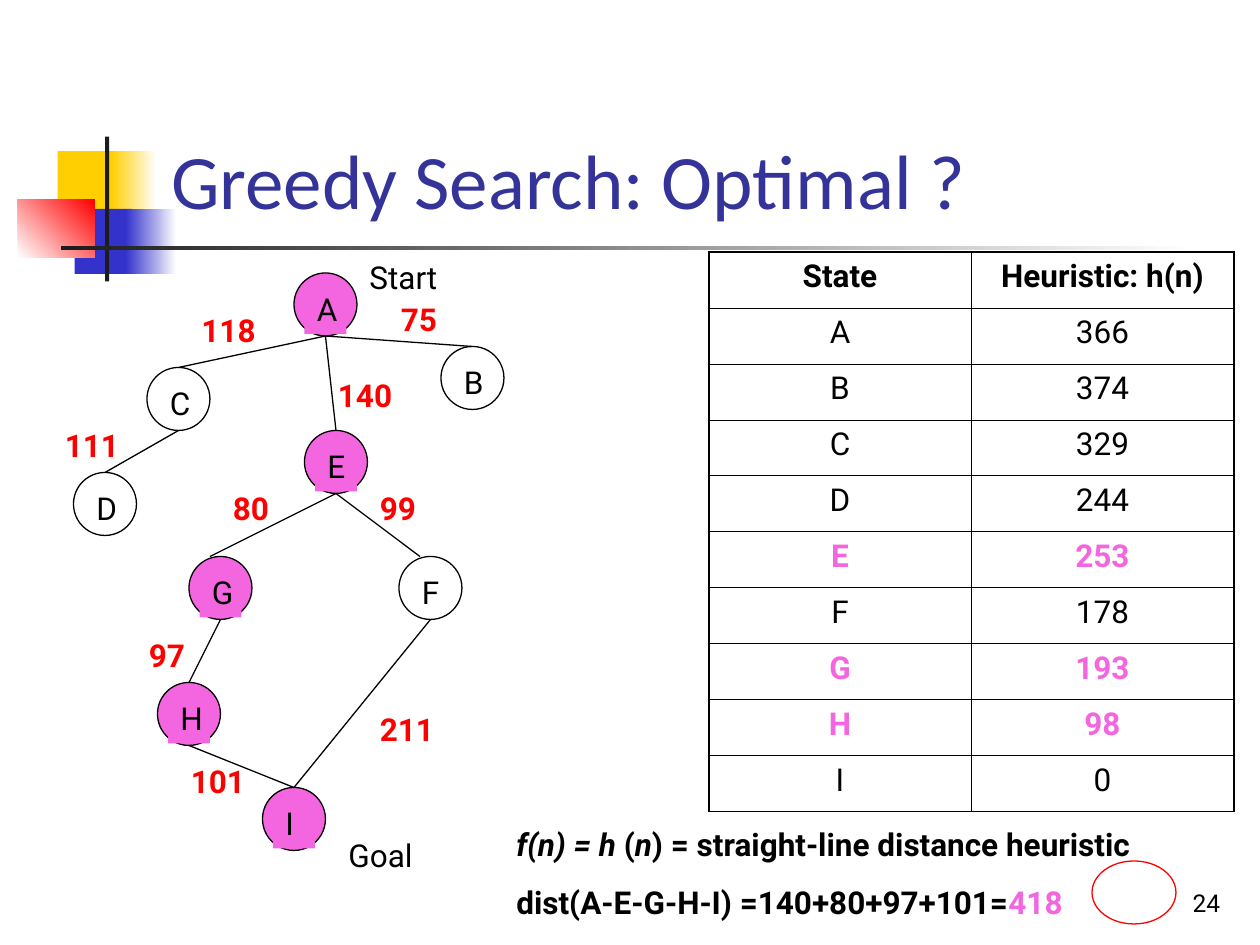
from lxml import etree
from pptx import Presentation
from pptx.dml.color import RGBColor
from pptx.enum.shapes import MSO_CONNECTOR, MSO_SHAPE
from pptx.enum.text import MSO_ANCHOR, MSO_AUTO_SIZE, PP_ALIGN
from pptx.oxml.ns import qn
from pptx.util import Inches, Pt

RECT, OVAL = MSO_SHAPE.RECTANGLE, MSO_SHAPE.OVAL
LINE = MSO_CONNECTOR.STRAIGHT
TOP, BOTTOM = MSO_ANCHOR.TOP, MSO_ANCHOR.BOTTOM
LEFT, CENTER, RIGHT = PP_ALIGN.LEFT, PP_ALIGN.CENTER, PP_ALIGN.RIGHT
GROW, FIXED = MSO_AUTO_SIZE.SHAPE_TO_FIT_TEXT, MSO_AUTO_SIZE.NONE

COLS, ROWS, UNIT = 120, 90, 1 / 12
BLACK, WHITE, RED, PINK = "000000", "FFFFFF", "FF0000", "F466E0"
GOLD, BLUE, DARK, NAVY = "FFCF01", "3333CC", "1C1C1C", "333399"
THIN, THICK, SIZE = 0.45, 1.08, 6

DECOR = [
    (5.5, 14.4, 5.8, 6.2, [GOLD], 0),
    (10.6, 14.4, 4.3, 6.2, [GOLD, WHITE], 0),
    (7.1, 19.9, 5.5, 6.2, [BLUE], 0),
    (12, 19.9, 4.8, 6.2, [BLUE, WHITE], 0),
    (1.7, 19, 7.3, 5.5, [WHITE, RED], 45),
    (10, 13, 0.4, 13.8, [DARK], 0),
    (5.8, 23.4, 108, 0.4, [DARK, WHITE], 0),
]
NODES = {"A": (28, 26), "B": (42, 33), "D": (7, 45), "C": (14, 35),
         "E": (29, 41), "F": (38, 53), "I": (25, 75), "G": (18, 53),
         "H": (15, 65)}
ROUTE = "AEGHI"
EDGES = [("EF", -1), ("FI", 0), ("EG", -1), ("GH", 0), ("HI", 0),
         ("AB", 0), ("AE", 0), ("AC", 0), ("CD", 0)]
COSTS = [("99", 35, 46, 8), ("211", 35, 67, 10), ("80", 21, 46, 8),
         ("97", 13, 60, 8), ("101", 17, 72, 11), ("75", 37, 28, 8),
         ("118", 18, 29, 10), ("111", 5, 40, 10), ("140", 31, 35.2, 10)]
ENDS = [("Start", 34, 24, 16), ("Goal", 32, 79, 16)]
TABLE = [("State", "Heuristic: h(n)"), ("A", "366"), ("B", "374"),
         ("C", "329"), ("D", "244"), ("E", "253"), ("F", "178"),
         ("G", "193"), ("H", "98"), ("I", "0")]
NOTES = [
    [("f(n) = h ", {"italic": True}), ("(", {}), ("n", {"italic": True}),
     (") = straight-line distance heuristic", {})],
    [("dist(A-E-G-H-I) =140+80+97+101=", {}), ("418", {"color": PINK})],
]


def grid(*cells):
    return [Inches(cell * UNIT) for cell in cells]


def paint(target, color):
    target.rgb = RGBColor.from_string(color)


def style(font, size=18, face="Roboto", color=BLACK, bold=False, italic=False):
    font.size, font.name = Pt(size), face
    font.bold, font.italic = bold, italic
    paint(font.color, color)


def write(frame, text, align=LEFT, gap=0, **look):
    paras = [[(text, {})]] if isinstance(text, str) else text
    for index, runs in enumerate(paras):
        para = frame.add_paragraph() if index else frame.paragraphs[0]
        para.alignment = align
        if index:
            para.space_before = Pt(gap)
        for words, extra in runs:
            run = para.add_run()
            run.text = words
            style(run.font, **{**look, **extra})


def label(shapes, text, box, fill=None, anchor=TOP, fit=GROW, **look):
    item = shapes.add_textbox(*grid(*box))
    frame = item.text_frame
    frame.word_wrap, frame.auto_size = True, fit
    frame.vertical_anchor = anchor
    if fill:
        item.fill.solid()
        paint(item.fill.fore_color, fill)
    write(frame, text, **look)


def form(shapes, kind, box, fills=(), angle=0, line=None):
    item = shapes.add_shape(kind, *grid(*box))
    item.shadow.inherit = False
    if len(fills) == 2:
        item.fill.gradient()
        item.fill.gradient_angle = angle
        for stop, color in zip(item.fill.gradient_stops, fills):
            paint(stop.color, color)
    elif fills:
        item.fill.solid()
        paint(item.fill.fore_color, fills[0])
    else:
        item.fill.background()
    if line:
        paint(item.line.color, line)
        item.line.width = Pt(0.75)
    else:
        item.line.fill.background()


def node(shapes, name):
    col, row = NODES[name]
    fill = PINK if name in ROUTE else None
    group = shapes.add_group_shape().shapes
    form(group, OVAL, (col, row, SIZE, SIZE), [fill] if fill else [], line=BLACK)
    label(group, name, (col + 1, row + 1, 4, 4.8), fill)


def edge(shapes, pair, shift):
    (left, top), (right, low) = NODES[pair[0]], NODES[pair[1]]
    half = SIZE / 2
    ends = grid(left + half, top + SIZE, right + half + shift, low)
    link = shapes.add_connector(LINE, *ends)
    paint(link.line.color, BLACK)
    link.line.width = Pt(0.75)
    etree.SubElement(link.element.spPr, qn("a:effectLst"))


def border(cell, **widths):
    props = cell._tc.get_or_add_tcPr()
    for side, width in widths.items():
        line = etree.SubElement(props, qn(f"a:ln{side}"), w=str(Pt(width)))
        fill = etree.SubElement(line, qn("a:solidFill"))
        etree.SubElement(fill, qn("a:srgbClr"), val=BLACK)


def chart(shapes):
    count = len(TABLE)
    box = grid(67.5, 24, 50, 53.3)
    table = shapes.add_table(count, 2, *box).table
    table.first_row = table.horz_banding = False
    for row, texts in enumerate(TABLE):
        on = row > 0 and texts[0] in ROUTE[1:-1]
        for col, text in enumerate(texts):
            cell = table.cell(row, col)
            border(cell, L=THIN if col else THICK, R=THICK if col else THIN,
                   T=THIN if row else THICK,
                   B=THICK if row == count - 1 else THIN)
            cell.fill.background()
            write(cell.text_frame, text, align=CENTER, bold=on or row == 0,
                  color=PINK if on else BLACK)


def head(slide):
    title = slide.shapes.title
    title.left, title.top, title.width, title.height = grid(15.1, 2.8, 102.2, 19.2)
    title.text_frame.vertical_anchor = BOTTOM
    write(title.text_frame, "Greedy Search: Optimal ?", size=44,
          face="Calibri", color=NAVY)
    slide.shapes.element.append(title.element)


def main():
    deck = Presentation()
    deck.slide_width, deck.slide_height = grid(COLS, ROWS)
    slide = deck.slides.add_slide(deck.slide_layouts[5])
    shapes = slide.shapes
    for *box, fills, angle in DECOR:
        form(shapes, RECT, box, fills, angle)
    label(shapes, "24", (92.4, 82, 25, 6), anchor=BOTTOM, fit=FIXED,
          align=RIGHT, size=14)
    head(slide)
    for name in NODES:
        node(shapes, name)
    for pair, shift in EDGES:
        edge(shapes, pair, shift)
    for text, col, row, width in COSTS:
        label(shapes, text, (col, row, width, 4.8), color=RED, bold=True)
    for text, col, row, width in ENDS:
        label(shapes, text, (col, row, width, 4.8))
    label(shapes, NOTES, (48, 78, 72, 10.3), gap=11.2, bold=True)
    chart(shapes)
    form(shapes, OVAL, (104, 82, 8, 6), line=RED)
    deck.save("out.pptx")


if __name__ == "__main__":
    main()
